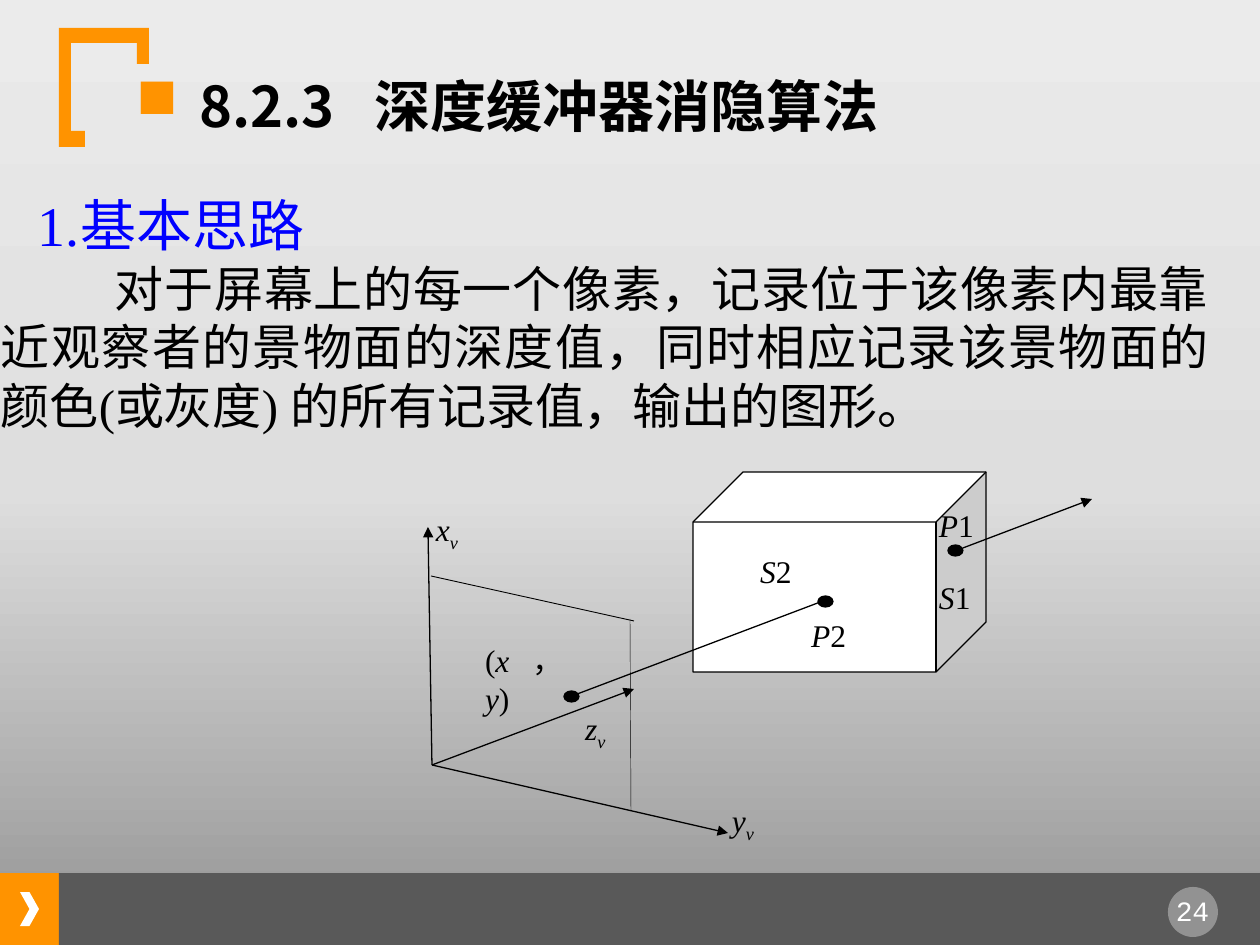
from copy import deepcopy
from typing import NamedTuple

from pptx import Presentation
from pptx.dml.color import RGBColor
from pptx.enum.shapes import MSO_CONNECTOR, MSO_SHAPE as SHAPE
from pptx.enum.text import MSO_ANCHOR as ANCHOR, PP_ALIGN as ALIGN
from pptx.oxml.ns import qn
from pptx.util import Emu, Pt

SCALE = 914400 / 126  # EMU per px
COLORS = {
    "black": "000000", "white": "FFFFFF", "orange": "FF9300",
    "bar": "595959", "blue": "0000FF",
}
BACKGROUND = [(0, "949494"), (0.48, "DEDEDE"), (1, "EBEBEB")]
SERIF, SANS, MONO = "Times New Roman", "Noto Sans CJK SC", "Courier New"


class Line(NamedTuple):
    x1: int
    y1: int
    x2: int
    y2: int
    width: float = 0.75
    arrow: bool = False


class Label(NamedTuple):
    box: tuple
    runs: tuple  # (text, style) pairs: "i" italic, "sub" subscript, "" plain
    filled: bool = False


def px(*values: int) -> list:
    return [Emu(round(v * SCALE)) for v in values]


def rgb(name: str) -> RGBColor:
    return RGBColor.from_string(COLORS[name])


def add_element(parent, tag: str, **attrs):
    el = parent.makeelement(qn(tag), attrs)
    parent.append(el)
    return el


def paint(sp, fill: str, line: str = "") -> None:
    sp.shadow.inherit = False
    sp.fill.solid()
    sp.fill.fore_color.rgb = rgb(fill)
    if line:
        sp.line.color.rgb = rgb(line)
        sp.line.width = Pt(0.75)
    else:
        sp.line.fill.background()


def add_shape(shapes, kind, box: tuple, fill: str, line: str = ""):
    sp = shapes.add_shape(kind, *px(*box))
    paint(sp, fill, line)
    return sp


def set_frame(sp, anchor=ANCHOR.TOP, x: int = 0, y: int = 0):
    tf = sp.text_frame
    side, end = px(x, y)
    formats = {"word_wrap": True, "vertical_anchor": anchor, "margin_left": side,
               "margin_right": side, "margin_top": end, "margin_bottom": end}
    for name, value in formats.items():
        setattr(tf, name, value)
    return tf


def add_run(p, text: str, size: int, font: str, color: str, **formats):
    r = p.add_run()
    r.text = text
    for name, value in {"size": Pt(size), "name": font, **formats}.items():
        setattr(r.font, name, value)
    r.font.color.rgb = rgb(color)
    return r


def add_line(shapes, line: Line) -> None:
    c = shapes.add_connector(MSO_CONNECTOR.STRAIGHT, *px(*line[:4]))
    c.line.color.rgb = rgb("black")
    c.line.width = Pt(line.width)
    if line.arrow:
        add_element(c.line._get_or_add_ln(), "a:tailEnd", type="triangle")
    add_element(c._element.spPr, "a:effectLst")


def add_label(shapes, label: Label) -> None:
    if label.filled:
        sp = add_shape(shapes, SHAPE.RECTANGLE, label.box, "white")
    else:
        sp = shapes.add_textbox(*px(*label.box))
    p = set_frame(sp).paragraphs[0]
    p.alignment = ALIGN.JUSTIFY
    for text, style in label.runs:
        r = add_run(p, text, 18, SERIF, "black", italic=style != "")
        if style == "sub":
            r.font._element.set("baseline", "-25000")


def add_dot(shapes, x: int, y: int) -> None:
    add_shape(shapes, SHAPE.OVAL, (x - 7, y - 5, 15, 11), "black", "black")


def axis_label(name: str, *box: int) -> Label:
    return Label(box, ((name, "i"), ("v", "sub")))


def point_label(name: str, x: int, y: int, filled: bool = False) -> Label:
    return Label((x, y, 42, 23), ((name[0], "i"), (name[1], "")), filled)


def set_background(s) -> None:
    fill = s.background.fill
    fill.gradient()
    fill.gradient_angle = 90
    stops = fill.gradient_stops
    first = stops[0]._gs
    first.addnext(deepcopy(first))
    for stop, (position, color) in zip(fill.gradient_stops, BACKGROUND):
        stop.position = position
        stop.color.rgb = RGBColor.from_string(color)


def add_decoration(s) -> None:
    # Footer bar
    add_shape(s.shapes, SHAPE.RECTANGLE, (0, 873, 59, 72), "orange")
    add_shape(s.shapes, SHAPE.RECTANGLE, (59, 873, 1201, 72), "bar")
    add_shape(s.shapes, SHAPE.CHEVRON, (20, 892, 19, 34), "white")
    badge = add_shape(s.shapes, SHAPE.OVAL, (1168, 887, 50, 50), "white")
    color = badge.fill._xPr.find(qn("a:solidFill"))[0]
    add_element(color, "a:alpha", val="35000")
    number = s.shapes.add_textbox(*px(1159, 888, 67, 47))
    p = set_frame(number, x=12, y=6).paragraphs[0]
    p.alignment = ALIGN.CENTER
    add_run(p, "24", 16, MONO, "white")

    # Corner bracket
    points = [(149, 28), (149, 64), (137, 64), (137, 43), (71, 43),
              (71, 131), (85, 131), (85, 147), (59, 147)]
    fb = s.shapes.build_freeform(59, 28, scale=SCALE)
    fb.add_line_segments(points, close=True)
    paint(fb.convert_to_shape(), "orange")


def add_body(s) -> None:
    sp = s.shapes.add_textbox(*px(1, 161, 1208, 290))
    tf = set_frame(sp, ANCHOR.MIDDLE, y=6)
    paragraphs = [
        ("1.基本思路", 32, "blue", 37, 1.2),
        ("对于屏幕上的每一个像素，记录位于该像素内最靠近观察者的景物面的深度值，"
         "同时相应记录该景物面的颜色(或灰度) 的所有记录值，输出的图形。",
         28, "black", 114, 1.0),
    ]
    for i, (text, size, color, indent, spacing) in enumerate(paragraphs):
        p = tf.add_paragraph() if i else tf.paragraphs[0]
        p.alignment, p.line_spacing = ALIGN.JUSTIFY, spacing
        p._p.get_or_add_pPr().set("indent", str(px(indent)[0]))
        add_run(p, text, size, SERIF, color)


def add_title(s) -> None:
    sp = s.shapes.add_textbox(*px(123, 66, 903, 89))
    p = set_frame(sp, x=13, y=6).paragraphs[0]
    hang, tab = px(63, 238)
    pPr = p._p.get_or_add_pPr()
    pPr.set("marL", str(hang))
    pPr.set("indent", str(-hang))
    add_element(add_element(pPr, "a:buClr"), "a:srgbClr", val=COLORS["orange"])
    add_element(pPr, "a:buChar", char="■")
    add_element(add_element(pPr, "a:tabLst"), "a:tab", pos=str(tab), algn="l")
    r = add_run(p, "8.2.3\t深度缓冲器消隐算法", 32, SANS, "black", bold=True)
    add_element(r.font._element, "a:ea", typeface=SANS)


def add_diagram(s) -> None:
    shapes = s.shapes.add_group_shape().shapes
    # View axes and screen edges
    for line in [
        Line(432, 765, 428, 527, arrow=True),
        Line(432, 765, 728, 833, arrow=True),
        Line(432, 765, 634, 689, arrow=True),
        Line(431, 576, 634, 621, 0.5),
        Line(631, 810, 630, 619, 0.25),
    ]:
        add_line(shapes, line)
    # Box and the ray through it
    cube = add_shape(shapes, SHAPE.CUBE, (693, 472, 293, 200), "white", "black")
    cube.adjustments[0] = 0.25
    add_line(shapes, Line(823, 601, 572, 696))
    add_line(shapes, Line(963, 548, 1092, 499, arrow=True))
    for x, y in [(571, 696), (955, 550), (825, 601)]:
        add_dot(shapes, x, y)
    # Labels
    for label in [
        Label((485, 641, 79, 35),
              (("(", ""), ("x", "i"), ("，", ""), ("y", "i"), (")", ""))),
        axis_label("z", 585, 709, 44, 35),
        axis_label("y", 732, 801, 42, 44),
        axis_label("x", 436, 510, 42, 44),
        point_label("P2", 811, 616, True),
        point_label("P1", 939, 506),
        point_label("S2", 760, 552, True),
        point_label("S1", 939, 578),
    ]:
        add_label(shapes, label)


def main() -> None:
    prs = Presentation()
    prs.slide_width, prs.slide_height = px(1260, 945)
    s = prs.slides.add_slide(prs.slide_layouts[6])
    set_background(s)
    add_decoration(s)
    add_body(s)
    add_title(s)
    add_diagram(s)
    prs.save("out.pptx")


if __name__ == "__main__":
    main()
